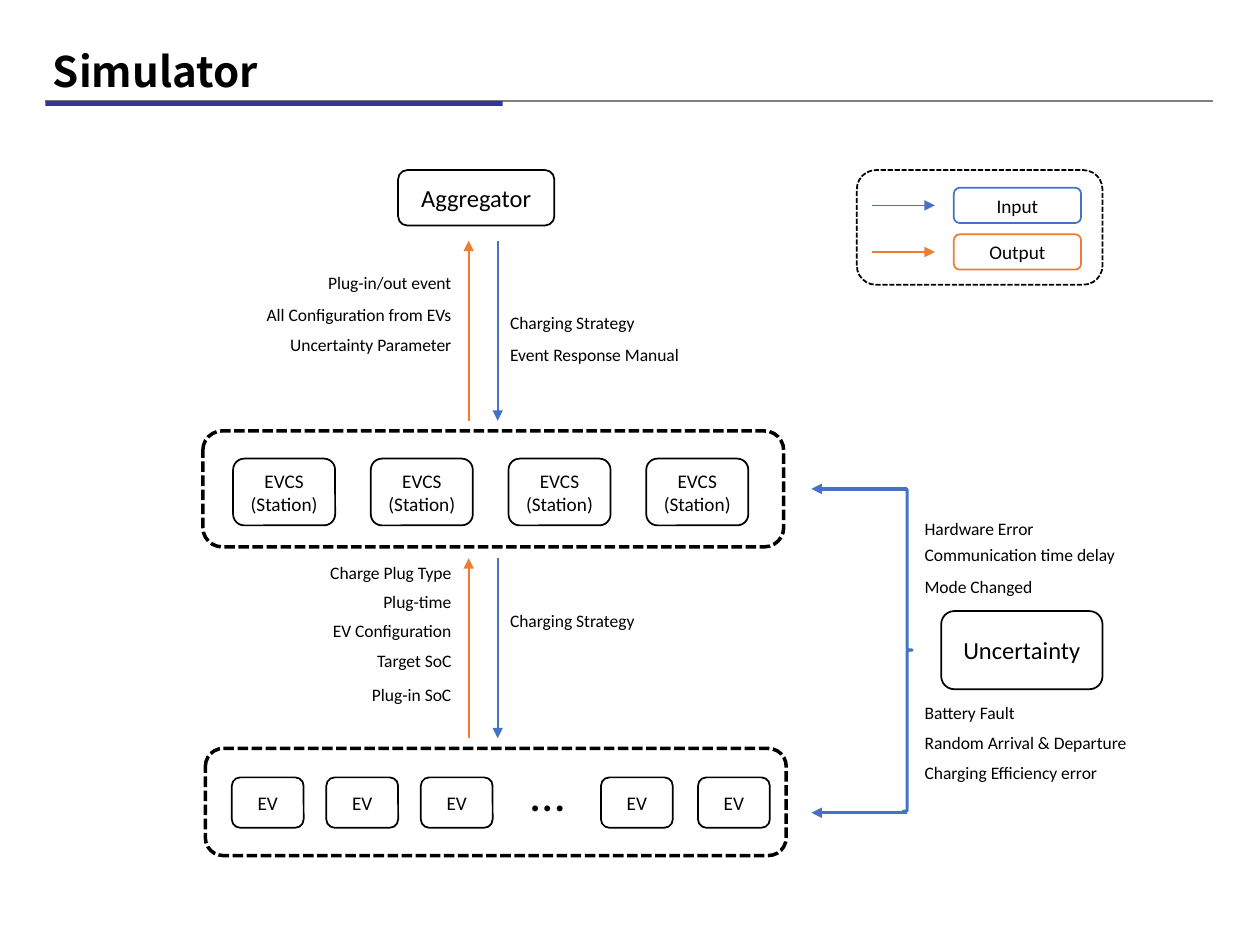
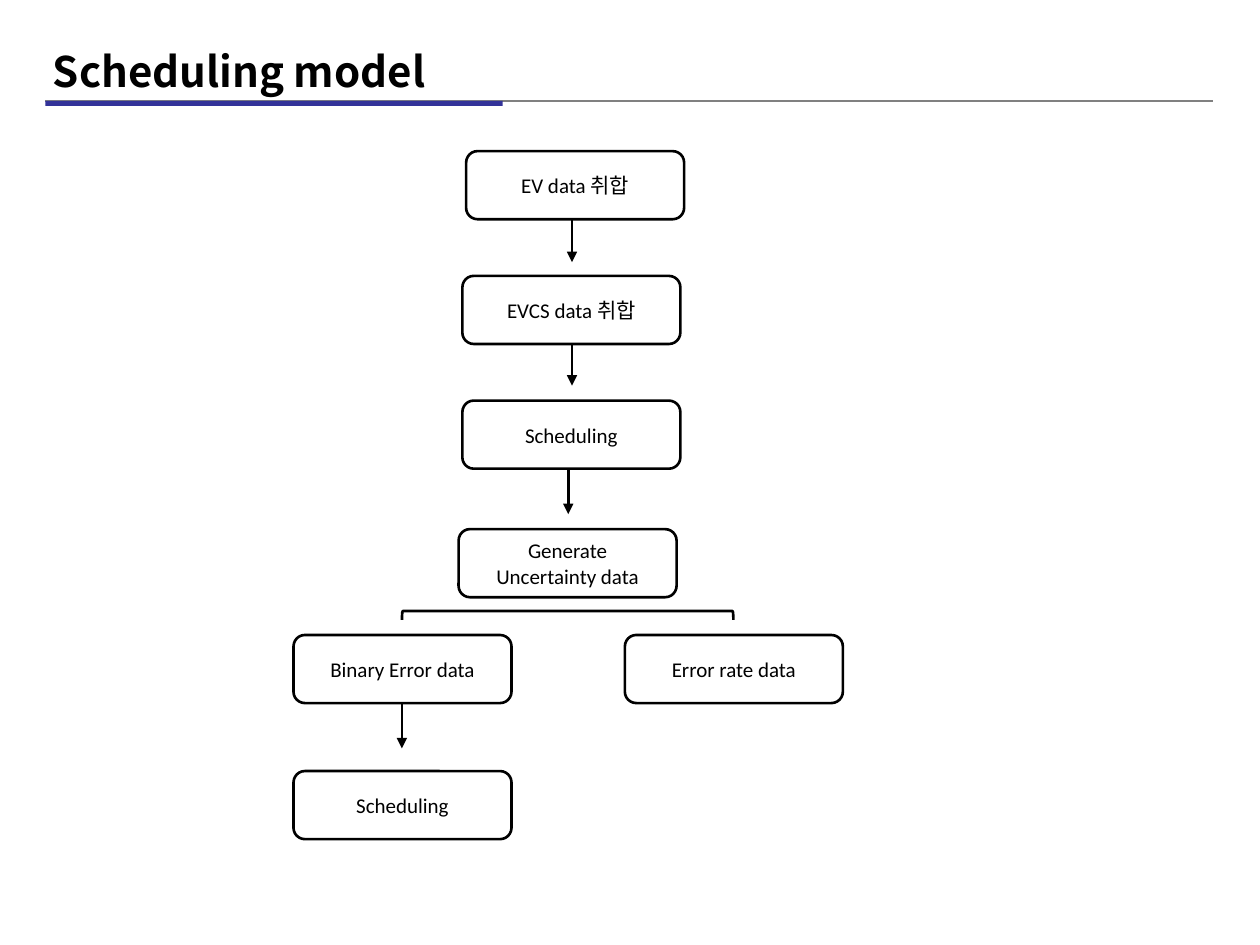
from lxml import etree
from pptx import Presentation
from pptx.dml.color import RGBColor
from pptx.enum.dml import MSO_LINE
from pptx.enum.shapes import MSO_CONNECTOR, MSO_SHAPE
from pptx.enum.text import MSO_ANCHOR, MSO_AUTO_SIZE, PP_ALIGN
from pptx.oxml.ns import qn
from pptx.util import Inches, Pt

ROUND = MSO_SHAPE.ROUNDED_RECTANGLE
BRACE, BRACKET, RECT = MSO_SHAPE.LEFT_BRACE, MSO_SHAPE.LEFT_BRACKET, MSO_SHAPE.RECTANGLE
STRAIGHT, DASH = MSO_CONNECTOR.STRAIGHT, MSO_LINE.SQUARE_DOT
LEFT, CENTER, RIGHT = PP_ALIGN.LEFT, PP_ALIGN.CENTER, PP_ALIGN.RIGHT
MIDDLE, TOP = MSO_ANCHOR.MIDDLE, MSO_ANCHOR.TOP
BLACK, GRAY, NAVY, BLUE, ORANGE = "000000", "808080", "333399", "4472C4", "ED7D31"
color = RGBColor.from_string


def box(slide, x, y, w, h, text="", size=11, line=BLACK, width=1.0, kind=ROUND, align=CENTER):
    spot = [Inches(v) for v in (x, y, w, h)]
    if kind is None:
        shape = slide.shapes.add_textbox(*spot)
    else:
        shape = slide.shapes.add_shape(kind, *spot)
        shape.shadow.inherit = False
        shape.fill.background()
        shape.line.color.rgb = color(line)
        shape.line.width = Pt(width)
    frame = shape.text_frame
    frame.word_wrap = True
    frame.vertical_anchor = TOP if kind is None else MIDDLE
    frame.text = text
    for para in frame.paragraphs:
        para.alignment = align
        para.font.name = "Calibri"
        para.font.size = Pt(size)
        para.font.color.rgb = color(BLACK)
    return shape


def rule(slide, x1, y1, x2, y2, line=BLACK, width=1.0, arrow=True):
    link = slide.shapes.add_connector(STRAIGHT, Inches(x1), Inches(y1), Inches(x2), Inches(y2))
    link.line.color.rgb = color(line)
    link.line.width = Pt(width)
    props = link._element.spPr
    if arrow:
        etree.SubElement(props.find(qn("a:ln")), qn("a:tailEnd"), type="triangle")
    etree.SubElement(props, qn("a:effectLst"))


deck = Presentation()
deck.slide_width, deck.slide_height = Inches(10), Inches(7.5)

slides = []
for name in ("Simulator", "Scheduling model"):
    slide = deck.slides.add_slide(deck.slide_layouts[5])
    rule(slide, 0.36, 0.8, 9.63, 0.8, GRAY, arrow=False)
    band = box(slide, 0.36, 0.8, 3.63, 0.04, kind=RECT)
    band.fill.solid()
    band.fill.fore_color.rgb = color(NAVY)
    band.line.fill.background()
    title = slide.shapes.title
    title.left, title.top = Inches(0.32), Inches(0.36)
    title.width, title.height = Inches(9), Inches(0.46)
    frame = title.text_frame
    frame.text = name
    frame.auto_size = MSO_AUTO_SIZE.NONE
    frame.vertical_anchor = MIDDLE
    para = frame.paragraphs[0]
    para.alignment = LEFT
    para.line_spacing = 0.9
    para.font.name = "Noto Sans CJK KR"
    para.font.size = Pt(24)
    para.font.bold = True
    para.font.color.rgb = color(BLACK)
    slides.append(slide)

model, flow = slides

box(model, 3.16, 1.35, 1.24, 0.44, "Aggregator", 14)
box(model, 7.47, 4.85, 1.28, 0.62, "Uncertainty", 14)

box(model, 6.8, 1.35, 1.95, 0.91).line.dash_style = DASH
for y, text, hue in ((1.49, "Input", BLUE), (1.86, "Output", ORANGE)):
    box(model, 7.57, y, 1.01, 0.28, text, line=hue)
    rule(model, 6.92, y + 0.14, 7.42, y + 0.14, hue)

for x, y, w, h in ((1.61, 3.42, 4.61, 0.92), (1.63, 5.94, 4.61, 0.85)):
    box(model, x, y, w, h, width=2).line.dash_style = DASH
for i in range(4):
    box(model, 1.85 + 1.093 * i, 3.64, 0.81, 0.53, "EVCS\n(Station)")
for x in (1.84, 2.59, 3.34, 4.77, 5.54):
    box(model, x, 6.17, 0.57, 0.4, "EV")
box(model, 4.05, 6, 0.59, 0.57, "…", 28, kind=None)

for top in (1.91, 4.43):
    rule(model, 3.72, top + 1.43, 3.72, top, ORANGE)
    rule(model, 3.95, top, 3.95, top + 1.43, BLUE)

for y in (3.88, 6.45):
    rule(model, 7.2, y, 6.44, y, BLUE, 2)
brace = box(model, 7.16, 3.88, 0.08, 2.56, line=BLUE, width=1.75, kind=BRACE)
brace._element.spPr.find(qn("a:xfrm")).set("flipH", "1")

up = (
    (2.11, "Plug-in/out event"),
    (2.36, "All Configuration from EVs"),
    (2.6, "Uncertainty Parameter"),
    (4.41, "Charge Plug Type"),
    (4.64, "Plug-time"),
    (4.87, "EV Configuration"),
    (5.11, "Target SoC"),
    (5.38, "Plug-in SoC"),
)
down = (
    (2.43, "Charging Strategy"),
    (2.68, "Event Response Manual"),
    (4.79, "Charging Strategy"),
)
faults = (
    (4.06, "Hardware Error"),
    (4.27, "Communication time delay"),
    (4.52, "Mode Changed"),
    (5.52, "Battery Fault"),
    (5.76, "Random Arrival & Departure"),
    (6, "Charging Efficiency error"),
)
for x, align, notes in ((1.78, RIGHT, up), (3.95, LEFT, down), (7.24, LEFT, faults)):
    for y, text in notes:
        box(model, x, y, 1.9, 0.27, text, 10, kind=None, align=align)

steps = (
    (3.7, 1.2, "EV data 취합"),
    (3.67, 2.19, "EVCS data 취합"),
    (3.67, 3.18, "Scheduling"),
    (3.64, 4.2, "Generate\nUncertainty data"),
    (2.33, 5.04, "Binary Error data"),
    (4.96, 5.04, "Error rate data"),
    (2.33, 6.12, "Scheduling"),
)
for x, y, text in steps:
    box(flow, x, y, 1.73, 0.54, text, 12, width=1.5)
for x, y, end in ((4.54, 1.74, 2.08), (4.54, 2.73, 3.06), (4.51, 3.73, 4.08), (3.19, 5.58, 5.94)):
    rule(flow, x, y, x, end, width=1.5)
box(flow, 4.47, 3.57, 0.07, 2.63, width=1.5, kind=BRACKET).rotation = 90

deck.save("out.pptx")
